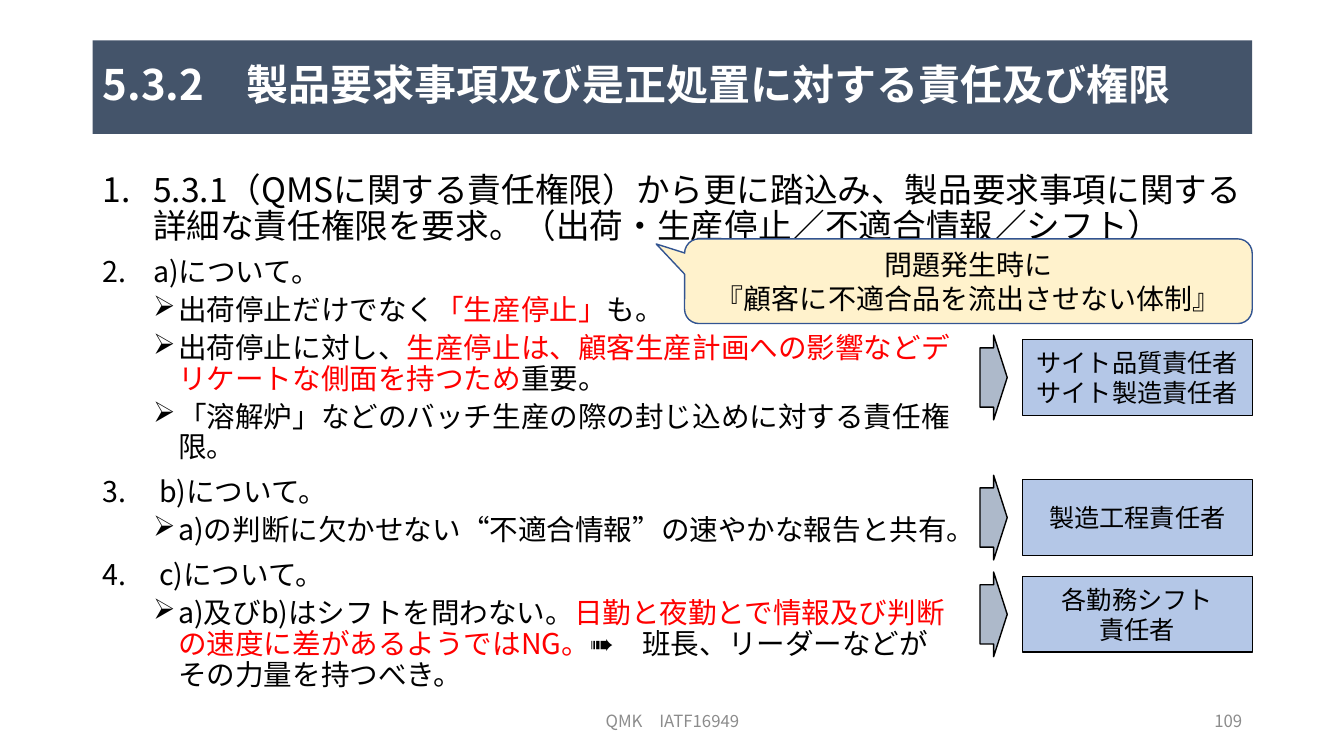
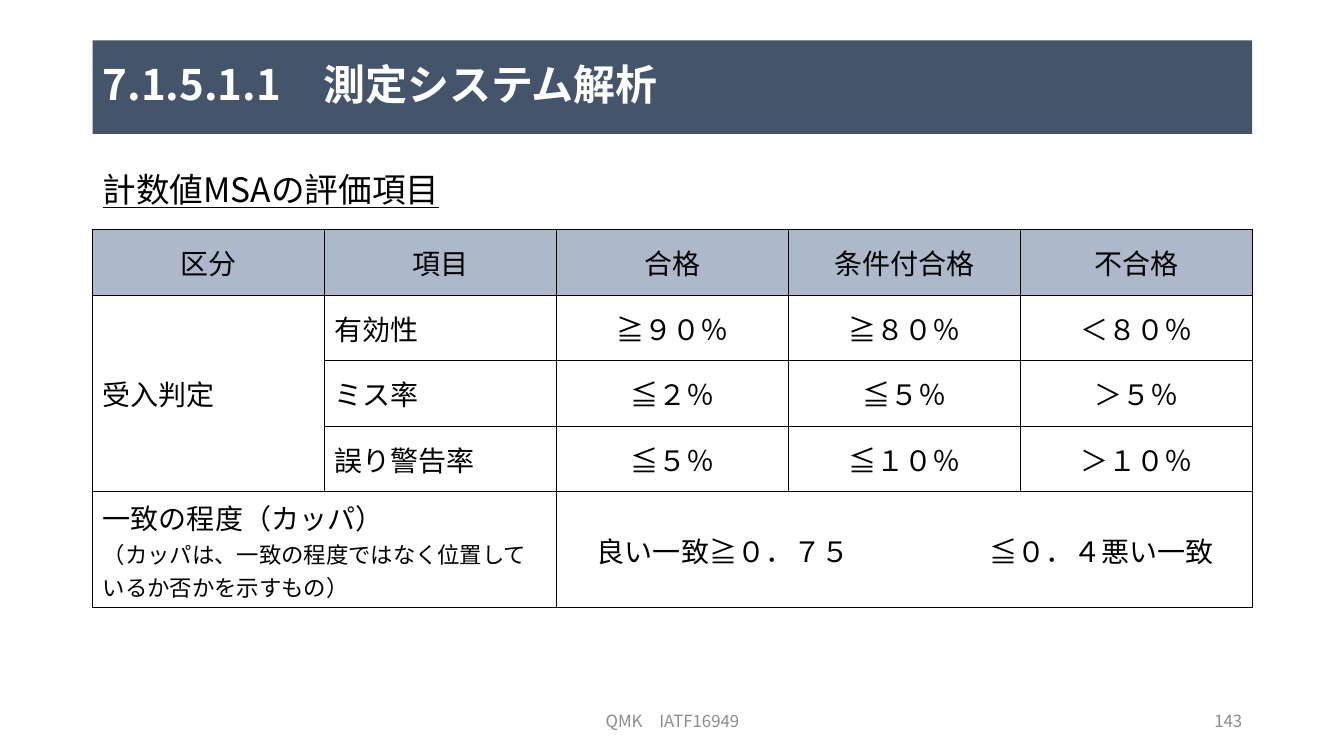
"""Build two slides on responsibilities and measurement system analysis."""
from dataclasses import dataclass

from lxml import etree
from pptx import Presentation
from pptx import util as u
from pptx.dml.color import RGBColor
from pptx.enum import shapes, text
from pptx.oxml.ns import qn


@dataclass(frozen=True)
class Theme:
    font: str = "Noto Sans CJK JP"
    ink: str = "000000"
    white: str = "FFFFFF"
    grey: str = "8C8C8C"
    red: str = "FF0000"
    band: str = "44546A"
    steel: str = "ADB9CA"
    role: str = "B4C7E7"
    note: str = "FFF2CC"
    note_line: str = "325491"
    title_size: float = 30
    lead_size: float = 24
    outline_size: float = 20.4
    table_size: float = 20
    role_size: float = 18
    small_size: float = 16
    footer_size: float = 12


T = Theme()
PX = 9144
LEFT, WIDTH, RIGHT = 92, 1150, 1242
L, C, R = text.PP_ALIGN.LEFT, text.PP_ALIGN.CENTER, text.PP_ALIGN.RIGHT
TOP, MIDDLE = text.MSO_ANCHOR.TOP, text.MSO_ANCHOR.MIDDLE
RED = {"color": T.red}
SMALL = {"size": T.small_size}

BULLETS = {
    "first": dict(level=0, left=50, hang=50, before=10, start=1),
    "item": dict(level=0, left=50, hang=50, before=10, start=2),
    "wide": dict(level=0, left=56, hang=56, before=10, start=2),
    "sub": dict(level=1, left=75, hang=25, before=5, char="➢"),
}

FOOTER = "QMK　IATF16949"
LEAD = [("first", ["5.3.1（QMSに関する責任権限）から更に踏込み、製品要求事項に関する詳細な責任権限を要求。"
                   "（出荷・生産停止／不適合情報／シフト）"])]
OUTLINE = [
    ("item", ["a)について。"]),
    ("sub", ["出荷停止だけでなく", ("「生産停止」", RED), "も。"]),
    ("sub", ["出荷停止に対し、",
             ("生産停止は、顧客生産計画への影響などデリケートな側面を持つため", RED), "重要。"]),
    ("sub", ["「溶解炉」などのバッチ生産の際の封じ込めに対する責任権限。"]),
    ("wide", ["b)について。"]),
    ("sub", ["a)の判断に欠かせない“不適合情報”の速やかな報告と共有。"]),
    ("wide", ["c)について。"]),
    ("sub", ["a)及びb)はシフトを問わない。",
             ("日勤と夜勤とで情報及び判断の速度に差があるようではNG。", RED),
             "➠　班長、リーダーなどがその力量を持つべき。"]),
]
ROLES = [
    (337, ["サイト品質責任者", "サイト製造責任者"]),
    (476, ["製造工程責任者"]),
    (572, ["各勤務シフト", "責任者"]),
]
CALLOUT = ["問題発生時に", "『顧客に不適合品を流出させない体制』"]

ROW_HEIGHTS = [65, 65, 65, 65, 115]
MERGES = [(1, 0, 3, 0), (4, 0, 4, 1), (4, 2, 4, 4)]
CRITERIA = [
    ["区分", "項目", "合格", "条件付合格", "不合格"],
    ["受入判定", "有効性", "≧９０％", "≧８０％", "＜８０％"],
    ["", "ミス率", "≦２％", "≦５％", "＞５％"],
    ["", "誤り警告率", "≦５％", "≦１０％", "＞１０％"],
]
KAPPA = ["一致の程度（カッパ）",
         (None, [("（カッパは、一致の程度ではなく位置しているか否かを示すもの）", SMALL)])]
AGREEMENT = ["良い一致≧０．７５\t≦０．４悪い一致"]
AGREEMENT_INSET, AGREEMENT_TAB = 40, 389


def px(n):
    return u.Emu(round(n * PX))


def rgb(color):
    return RGBColor.from_string(color)


def add_bullet(p, left, hang, before, level, start=None, char=None):
    p.level = level
    ppr = p._p.get_or_add_pPr()
    ppr.set("marL", str(px(left)))
    ppr.set("indent", str(px(-hang)))
    if char:
        etree.SubElement(ppr, qn("a:buChar"), char=char)
    else:
        etree.SubElement(ppr, qn("a:buAutoNum"), type="arabicPeriod", startAt=str(start))
    return before


def write(tf, paras, size, color=T.ink, bold=False, underline=False,
          align=L, anchor=None, spacing=None, tab=None):
    tf.word_wrap = True
    if anchor is not None:
        tf.vertical_anchor = anchor
    for i, para in enumerate(paras):
        p = tf.paragraphs[0] if i == 0 else tf.add_paragraph()
        bullet, runs = (None, [para]) if isinstance(para, str) else para
        p.alignment = align
        if bullet:
            before = add_bullet(p, **BULLETS[bullet])
            p.space_before = u.Pt(before if i else 0)
        if spacing:
            p.line_spacing = spacing
        if tab:
            tabs = etree.SubElement(p._p.get_or_add_pPr(), qn("a:tabLst"))
            etree.SubElement(tabs, qn("a:tab"), pos=str(px(tab)), algn="l")
        for run in runs:
            words, own = (run, {}) if isinstance(run, str) else run
            r = p.add_run()
            r.text = words
            r.font.size = u.Pt(own.get("size", size))
            r.font.bold = bold
            r.font.underline = underline
            r.font.color.rgb = rgb(own.get("color", color))
            r.font.name = T.font
            etree.SubElement(r._r.get_or_add_rPr(), qn("a:ea"), typeface=T.font)


def add_text(s, box, paras, size, **fmt):
    sp = s.shapes.add_textbox(*map(px, box))
    write(sp.text_frame, paras, size, **fmt)


def add_shape(s, kind, box, fill, line=None, adjust=()):
    sp = s.shapes.add_shape(kind, *map(px, box))
    sp.shadow.inherit = False
    sp.fill.solid()
    sp.fill.fore_color.rgb = rgb(fill)
    if line:
        sp.line.color.rgb = rgb(line)
        sp.line.width = u.Pt(1)
    else:
        sp.line.fill.background()
    for i, value in enumerate(adjust):
        sp.adjustments[i] = value
    return sp


def add_slide(prs, title, number):
    s = prs.slides.add_slide(prs.slide_layouts[6])
    footer = dict(size=T.footer_size, color=T.grey, anchor=MIDDLE)
    add_text(s, (442, 695, 450, 40), [FOOTER], align=C, **footer)
    add_text(s, (RIGHT - 300, 695, 300, 40), [number], align=R, **footer)
    band = add_shape(s, shapes.MSO_SHAPE.RECTANGLE, (LEFT, 40, WIDTH, 93), T.band)
    write(band.text_frame, [title], T.title_size, color=T.white, bold=True,
          anchor=MIDDLE, spacing=0.9)
    return s


def add_responsibilities(prs):
    s = add_slide(prs, "5.3.2　製品要求事項及び是正処置に対する責任及び権限", "109")
    add_text(s, (LEFT, 167, WIDTH, 84), LEAD, T.lead_size, spacing=0.9)
    add_text(s, (LEFT, 251, 866, 444), OUTLINE, T.outline_size, spacing=0.9)
    role_w, role_h, arrow_h = 228, 75, 84
    for top, names in ROLES:
        add_shape(s, shapes.MSO_SHAPE.RIGHT_ARROW,
                  (972, top + (role_h - arrow_h) / 2, 27, arrow_h),
                  T.steel, T.ink, (0.7, 0.5))
        role = add_shape(s, shapes.MSO_SHAPE.RECTANGLE,
                         (RIGHT - role_w, top, role_w, role_h), T.role, T.ink)
        write(role.text_frame, names, T.role_size, align=C, anchor=MIDDLE)
    callout = add_shape(s, shapes.MSO_SHAPE.ROUNDED_RECTANGULAR_CALLOUT,
                        (679, 237, 563, 84), T.note, T.note_line, (-0.55, -0.44, 0.17))
    write(callout.text_frame, CALLOUT, T.table_size, align=C, anchor=MIDDLE)


def style_cell(cell, fill=None):
    cell.vertical_anchor = MIDDLE
    if fill:
        cell.fill.solid()
        cell.fill.fore_color.rgb = rgb(fill)
    else:
        cell.fill.background()
    tcpr = cell._tc.get_or_add_tcPr()
    for i, side in enumerate(("a:lnL", "a:lnR", "a:lnT", "a:lnB")):
        ln = etree.Element(qn(side), w=str(u.Pt(1)))
        solid = etree.SubElement(ln, qn("a:solidFill"))
        etree.SubElement(solid, qn("a:srgbClr"), val=T.ink)
        tcpr.insert(i, ln)


def add_analysis(prs):
    s = add_slide(prs, "7.1.5.1.1　測定システム解析", "143")
    add_text(s, (LEFT, 167, WIDTH, 528), ["計数値MSAの評価項目"], T.lead_size,
             underline=True, spacing=0.9)
    cols = len(CRITERIA[0])
    frame = s.shapes.add_table(len(ROW_HEIGHTS), cols, px(LEFT), px(228),
                               px(WIDTH), px(sum(ROW_HEIGHTS)))
    table = frame.table
    for col in table.columns:
        col.width = px(WIDTH / cols)
    for i, height in enumerate(ROW_HEIGHTS):
        table.rows[i].height = px(height)
        for j in range(cols):
            style_cell(table.cell(i, j), None if i else T.steel)
    for top, left, bottom, right in MERGES:
        table.cell(top, left).merge(table.cell(bottom, right))
    for i, row in enumerate(CRITERIA):
        for j, words in enumerate(row):
            if words:
                write(table.cell(i, j).text_frame, [words], T.table_size,
                      align=C if i == 0 or j > 1 else L)
    last = len(CRITERIA)
    write(table.cell(last, 0).text_frame, KAPPA, T.table_size)
    agreement = table.cell(last, 2)
    agreement.margin_left = px(AGREEMENT_INSET)
    write(agreement.text_frame, AGREEMENT, T.table_size, tab=AGREEMENT_TAB)


def main():
    prs = Presentation()
    prs.slide_width, prs.slide_height = u.Inches(13.33), u.Inches(7.5)
    add_responsibilities(prs)
    add_analysis(prs)
    prs.save("out.pptx")


if __name__ == "__main__":
    main()
